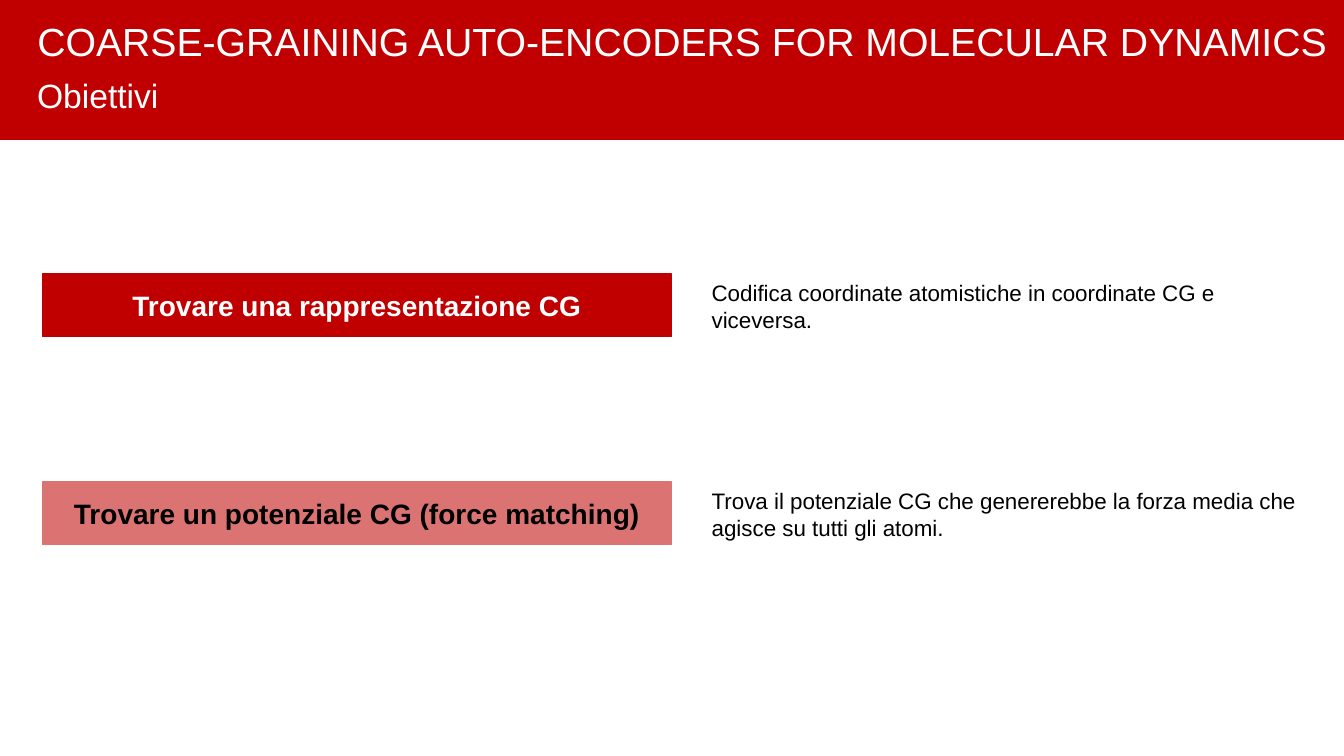
import pptx
import pptx.dml.color
import pptx.enum.shapes
import pptx.enum.text
import pptx.oxml
import pptx.oxml.ns
import pptx.util

Inches = pptx.util.Inches
RGBColor = pptx.dml.color.RGBColor
Align = pptx.enum.text.PP_ALIGN
Anchor = pptx.enum.text.MSO_ANCHOR

RED = RGBColor(0xC0, 0x00, 0x00)
PINK = RGBColor(0xDC, 0x73, 0x73)
WHITE = RGBColor(0xFF, 0xFF, 0xFF)
BLACK = RGBColor(0x00, 0x00, 0x00)

SLIDE_W, SLIDE_H = 13.33, 7.5
HEADER_H = 1.38
LABEL_W, ROW_H = 6.24, 0.62
DESCRIPTION_X = 6.54  # from the left edge of a goal row
FIRST_ROW, ROW_STEP = 2.72, 2.06

# label, label colour, line colour, fill opacity, description, description width
GOALS = [
    ("Trovare una rappresentazione CG", WHITE, RED, 100,
     "Codifica coordinate atomistiche in coordinate CG e viceversa.", 5.26),
    ("Trovare un potenziale CG (force matching)", BLACK, PINK, 55,
     "Trova il potenziale CG che genererebbe la forza media che agisce su tutti gli atomi.", 6.03),
]


def write(shape, text, size, color, bold=False, align=Align.LEFT, anchor=Anchor.TOP):
    tf = shape.text_frame
    tf.text = text
    tf.word_wrap = True
    tf.auto_size = pptx.enum.text.MSO_AUTO_SIZE.NONE
    tf.vertical_anchor = anchor
    p = tf.paragraphs[0]
    p.alignment = align
    p.font.name = "Arial"
    p.font.size = pptx.util.Pt(size)
    p.font.bold = bold
    p.font.color.rgb = color


def add_text(slide, x, y, w, h, *args):
    write(slide.shapes.add_textbox(*map(Inches, (x, y, w, h))), *args)


def add_bar(slide, x, y, w, h, line_color, opacity=100):
    """Add a red rectangle; opacity is in percent."""
    sp = slide.shapes.add_shape(pptx.enum.shapes.MSO_SHAPE.RECTANGLE, *map(Inches, (x, y, w, h)))
    sp.shadow.inherit = False
    sp.fill.solid()
    sp.fill.fore_color.rgb = RED
    sp.line.color.rgb = line_color
    sp.line.width = pptx.util.Pt(1)
    if opacity < 100:
        color = sp._element.spPr.find(pptx.oxml.ns.qn("a:solidFill"))[0]
        alpha = pptx.oxml.parse_xml(f'<a:alpha {pptx.oxml.ns.nsdecls("a")} val="{opacity * 1000}"/>')
        color.append(alpha)
    return sp


def add_header(slide, x, y, w, h):
    band = add_bar(slide, x, y, w, h, RED)
    title = slide.shapes.title
    title._element.addprevious(band._element)  # the band lies behind the title
    text_x = x + 0.27
    title.left, title.top, title.width, title.height = map(Inches, (text_x, y + 0.12, 13.13, 0.57))
    write(title, "COARSE-GRAINING AUTO-ENCODERS FOR MOLECULAR DYNAMICS", 28, WHITE)
    add_text(slide, text_x, y + h / 2, 7.13, 0.5, "Obiettivi", 24, WHITE)


def add_goal(slide, x, y, goal):
    label, label_color, line_color, opacity, description, description_w = goal
    bar = add_bar(slide, x, y, LABEL_W, ROW_H, line_color, opacity)
    write(bar, label, 20, label_color, True, Align.CENTER, Anchor.MIDDLE)
    add_text(slide, x + DESCRIPTION_X, y, description_w, ROW_H, description, 16, BLACK)


def main():
    prs = pptx.Presentation()
    prs.slide_width, prs.slide_height = Inches(SLIDE_W), Inches(SLIDE_H)
    slide = prs.slides.add_slide(prs.slide_layouts[5])
    add_header(slide, 0, 0, SLIDE_W, HEADER_H)
    for i, goal in enumerate(GOALS):
        add_goal(slide, 0.42, FIRST_ROW + i * ROW_STEP, goal)
    prs.save("out.pptx")


if __name__ == "__main__":
    main()
